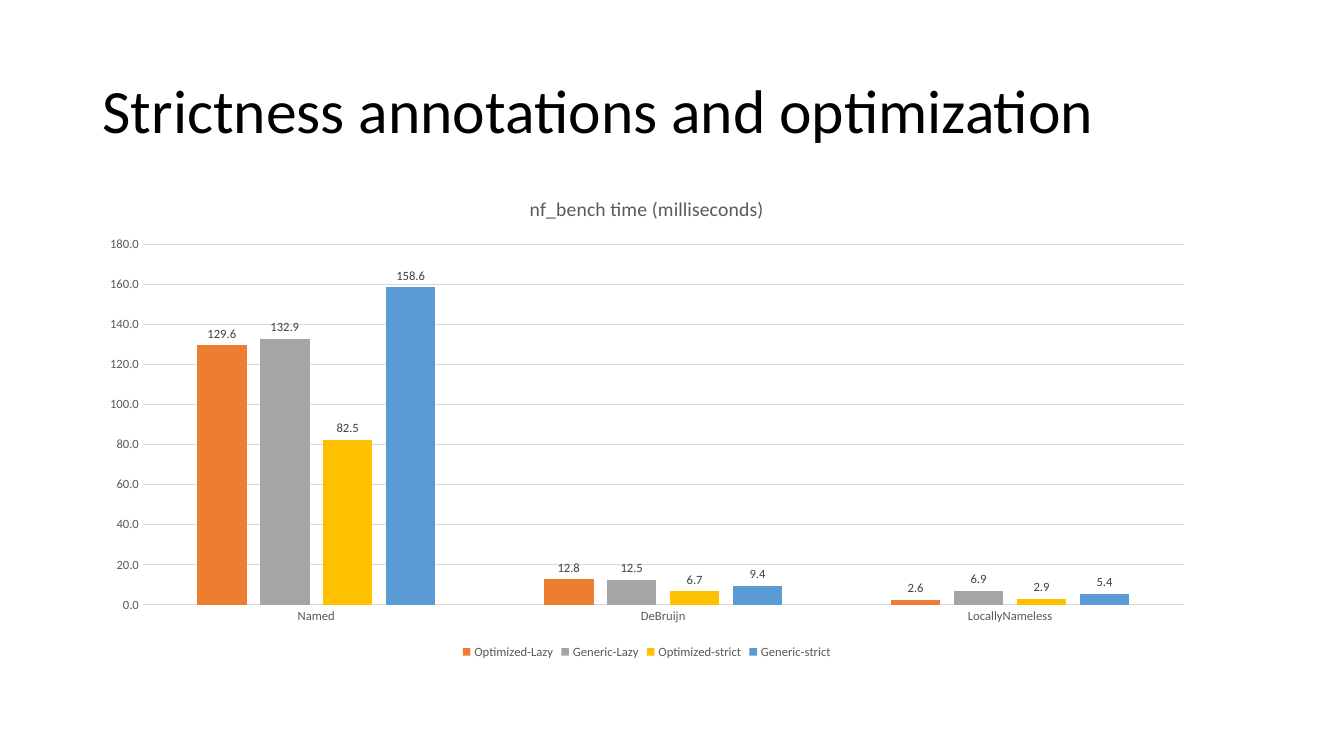
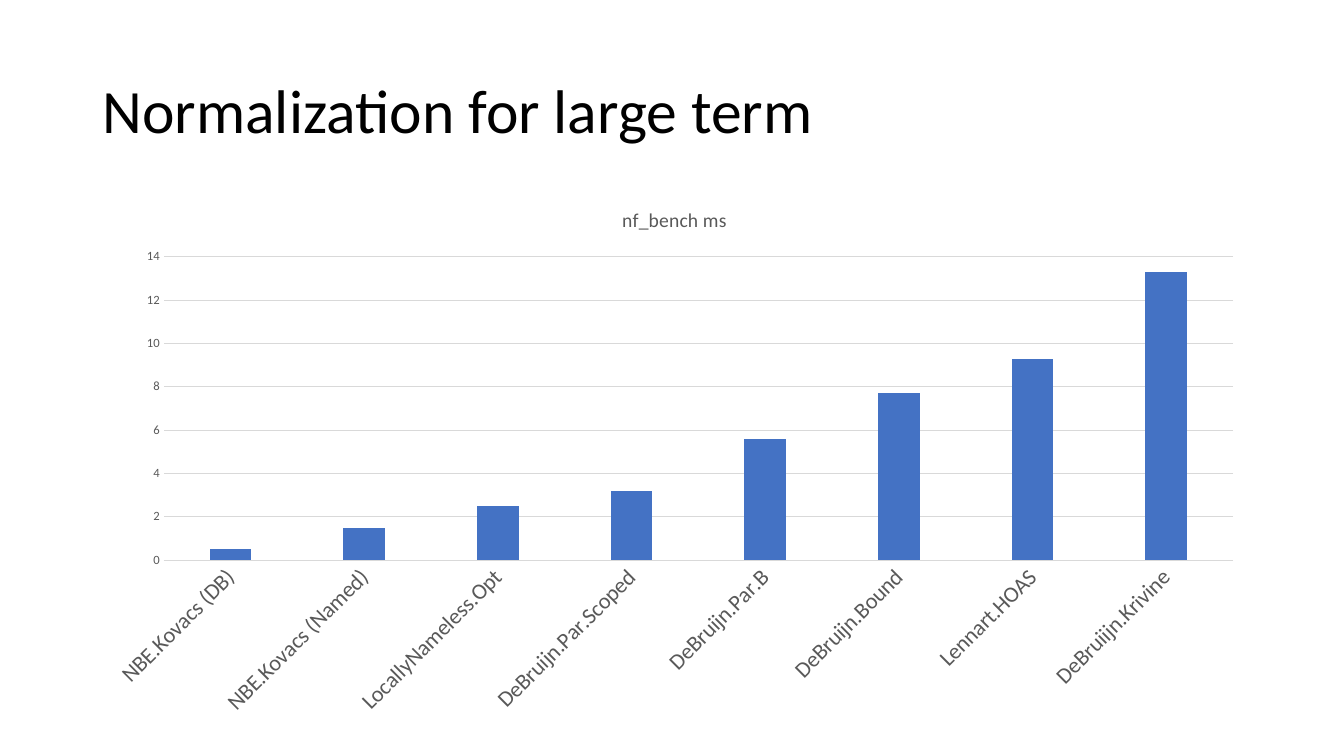
from pptx import Presentation
from pptx.chart.data import CategoryChartData
from pptx.dml.color import RGBColor
from pptx.enum.chart import XL_CHART_TYPE, XL_LABEL_POSITION, XL_LEGEND_POSITION, XL_TICK_MARK
from pptx.enum.text import MSO_ANCHOR
from pptx.oxml.ns import qn
from pptx.util import Inches, Pt

FONT = "Calibri"
BLACK, GREY, LABEL_GREY, RULE = "000000", "595959", "404040", "D9D9D9"
TITLE_BOX = (0.92, 0.4, 11.5, 1.45)


def color(hex_text):
    return RGBColor.from_string(hex_text)


def set_font(font, size, hex_text):
    font.name = FONT
    font.size = Pt(size)
    font.bold = False
    font.color.rgb = color(hex_text)


def set_line(line, hex_text):
    line.color.rgb = color(hex_text)
    line.width = Pt(0.75)


def add_title(page, box, text):
    frame = page.shapes.add_textbox(*map(Inches, box)).text_frame
    frame.word_wrap = True
    frame.vertical_anchor = MSO_ANCHOR.MIDDLE
    para = frame.paragraphs[0]
    para.text = text
    para.line_spacing = 0.9
    set_font(para.font, 44, BLACK)


def style_axes(chart, category_size, top, step, number_format):
    categories, values = chart.category_axis, chart.value_axis
    for axis, size in ((categories, category_size), (values, 9)):
        axis.major_tick_mark = axis.minor_tick_mark = XL_TICK_MARK.NONE
        set_font(axis.tick_labels.font, size, GREY)
    set_line(categories.format.line, RULE)
    values.format.line.fill.background()
    set_line(values.major_gridlines.format.line, RULE)
    values.minimum_scale, values.maximum_scale, values.major_unit = 0, top, step
    values.tick_labels.number_format = number_format
    values.tick_labels.number_format_is_linked = False


def add_column_chart(page, box, heading, categories, series, top, step,
                     category_size=9, number_format="General"):
    """series holds (name, values, fill colour) rows."""
    data = CategoryChartData(number_format=number_format)
    data.categories = categories
    for name, values, _ in series:
        data.add_series(name, values)
    chart = page.shapes.add_chart(
        XL_CHART_TYPE.COLUMN_CLUSTERED, *map(Inches, box), data).chart
    set_font(chart.font, 10, BLACK)
    chart.has_legend = False

    # Heading
    chart.has_title = True
    para = chart.chart_title.text_frame.paragraphs[0]
    para.text = heading
    set_font(para.font, 14, GREY)
    chart.chart_title.include_in_layout = False

    # Columns
    plot = chart.plots[0]
    plot.gap_width, plot.overlap = 219, -27
    plot.vary_by_categories = False
    for column, (_, _, fill) in zip(plot.series, series):
        column.format.fill.solid()
        column.format.fill.fore_color.rgb = color(fill)
        column.invert_if_negative = False

    style_axes(chart, category_size, top, step, number_format)
    return chart


def add_legend(chart):
    chart.has_legend = True
    chart.legend.position = XL_LEGEND_POSITION.BOTTOM
    chart.legend.include_in_layout = False
    set_font(chart.legend.font, 9, GREY)


def add_value_labels(chart, number_format):
    for column in chart.plots[0].series:
        labels = column.data_labels
        labels.show_value = True
        labels.position = XL_LABEL_POSITION.OUTSIDE_END
        labels.number_format = number_format
        labels.number_format_is_linked = False
        set_font(labels.font, 9, LABEL_GREY)


def tilt_category_labels(chart, degrees):
    body = chart.category_axis._element.find(qn("c:txPr")).find(qn("a:bodyPr"))
    body.set("rot", str(degrees * 60000))
    body.set("vert", "horz")


def strictness_slide(page):
    add_title(page, TITLE_BOX, "Strictness annotations and optimization")
    chart = add_column_chart(
        page, (0.87, 1.75, 11.09, 4.83), "nf_bench time (milliseconds)",
        ["Named", "DeBruijn", "LocallyNameless"],
        [("Optimized-Lazy", (129.6, 12.8, 2.6), "ED7D31"),
         ("Generic-Lazy", (132.9, 12.5, 6.9), "A5A5A5"),
         ("Optimized-strict", (82.5, 6.7, 2.9), "FFC000"),
         ("Generic-strict", (158.6, 9.4, 5.4), "5B9BD5")],
        top=180, step=20, number_format="0.0")
    add_legend(chart)
    add_value_labels(chart, "0.0")


def large_term_slide(page):
    add_title(page, TITLE_BOX, "Normalization for large term")
    chart = add_column_chart(
        page, (0.92, 1.85, 11.54, 5.36), "nf_bench ms",
        ["NBE.Kovacs (DB)", "NBE.Kovacs (Named)", "LocallyNameless.Opt",
         "DeBruijn.Par.Scoped", "DeBruijn.Par.B", "DeBruijn.Bound",
         "Lennart.HOAS", "DeBruiijn.Krivine"],
        [("Series 1", (0.5, 1.5, 2.5, 3.2, 5.6, 7.7, 9.3, 13.3), "4472C4")],
        top=14, step=2, category_size=16)
    tilt_category_labels(chart, -45)


deck = Presentation()
deck.slide_width, deck.slide_height = Inches(13.33), Inches(7.5)
for build in (strictness_slide, large_term_slide):
    build(deck.slides.add_slide(deck.slide_layouts[6]))
deck.save("out.pptx")
